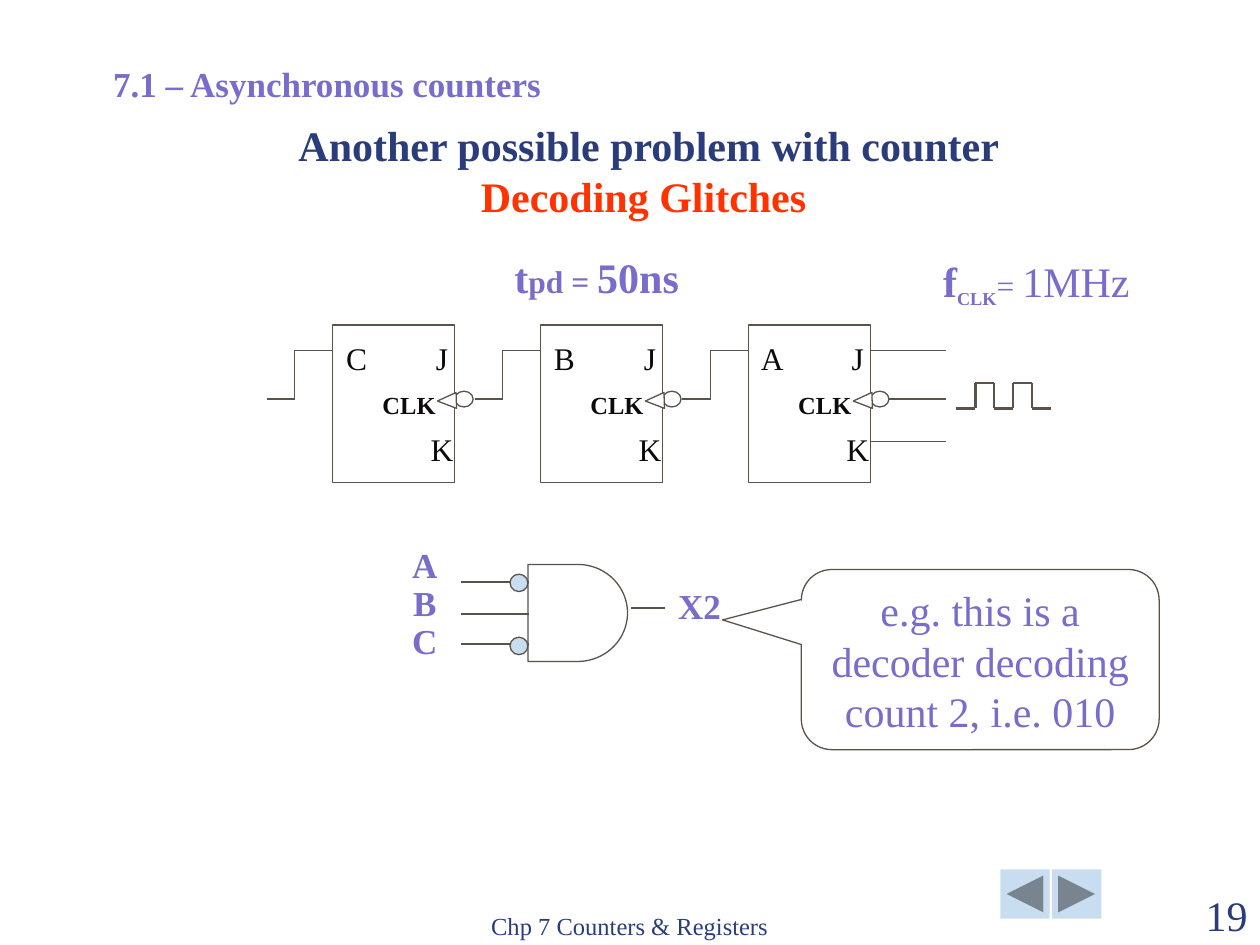
from dataclasses import dataclass
from itertools import pairwise

from lxml.etree import SubElement
from pptx import Presentation
from pptx.dml.color import RGBColor
from pptx.enum.shapes import MSO_CONNECTOR, MSO_SHAPE
from pptx.enum.text import MSO_ANCHOR, PP_ALIGN
from pptx.oxml.ns import qn
from pptx.util import Inches, Pt

FONT = "Times New Roman"
NAVY = RGBColor(0x2A, 0x3D, 0x7A)
RED = RGBColor(0xFF, 0x33, 0x00)
PURPLE = RGBColor(0x78, 0x6D, 0xCB)
BLACK = RGBColor(0x0C, 0x0B, 0x0A)
BROWN = RGBColor(0x5B, 0x52, 0x49)
PALE_BLUE = RGBColor(0xC9, 0xDD, 0xF1)
WHITE = RGBColor(0xFF, 0xFF, 0xFF)


@dataclass
class Box:
    """A rectangle in inches."""
    left: float
    top: float
    width: float
    height: float

    def point(self, x, y):
        return self.left + x * self.width, self.top + y * self.height

    def inner(self, x, y, width, height):
        """Return the inner box given as shares of this one."""
        return Box(*self.point(x, y), width * self.width, height * self.height)

    def emu(self):
        return [Inches(v) for v in (self.left, self.top, self.width, self.height)]


def style_run(run, size, color, bold=False):
    run.font.name = FONT
    run.font.size = Pt(size)
    run.font.bold = bold
    run.font.color.rgb = color


def add_text(slide, box, text, size, color, bold=False,
             align=PP_ALIGN.CENTER, anchor=MSO_ANCHOR.TOP):
    text_frame = slide.shapes.add_textbox(*box.emu()).text_frame
    text_frame.word_wrap = True
    text_frame.vertical_anchor = anchor
    text_frame.text = text
    for paragraph in text_frame.paragraphs:
        paragraph.alignment = align
        for run in paragraph.runs:
            style_run(run, size, color, bold)
    return text_frame


def add_formula(slide, box, terms):
    """Add one centred line of (text, size, bold, baseline) terms."""
    paragraph = add_text(slide, box, "", 24, PURPLE).paragraphs[0]
    for text, size, bold, baseline in terms:
        run = paragraph.add_run()
        run.text = text
        style_run(run, size, PURPLE, bold)
        if baseline:
            run._r.get_or_add_rPr().set("baseline", str(baseline * 1000))


def add_shape(slide, kind, box, fill=None, line=BROWN):
    shape = slide.shapes.add_shape(kind, *box.emu())
    shape.shadow.inherit = False
    if fill is None:
        shape.fill.background()
    else:
        shape.fill.solid()
        shape.fill.fore_color.rgb = fill
    if line is None:
        shape.line.fill.background()
    else:
        shape.line.color.rgb = line
        shape.line.width = Pt(0.75)
    return shape


def add_wire(slide, box, points, width=0.75):
    """Join points, given as shares of the box, with straight lines."""
    for start, end in pairwise(points):
        ends = [Inches(v) for v in box.point(*start) + box.point(*end)]
        connector = slide.shapes.add_connector(MSO_CONNECTOR.STRAIGHT, *ends)
        connector.line.color.rgb = BROWN
        connector.line.width = Pt(width)
        SubElement(connector._element.spPr, qn("a:effectLst"))


def draw_headings(slide, box):
    add_text(slide, box.inner(0.08, 0.06, 0.4, 0.06), "7.1 – Asynchronous counters",
             20, PURPLE, True, PP_ALIGN.LEFT)
    title = add_text(slide, box.inner(0.2, 0.11, 0.63, 0.13),
                     "Another possible problem with counter\vDecoding Glitches ",
                     24, NAVY, True, anchor=MSO_ANCHOR.BOTTOM)
    title.paragraphs[0].runs[1].font.color.rgb = RED


def draw_footer(slide, box):
    buttons = (MSO_SHAPE.ACTION_BUTTON_BACK_OR_PREVIOUS,
               MSO_SHAPE.ACTION_BUTTON_FORWARD_OR_NEXT)
    for column, kind in enumerate(buttons):
        button = Box(box.left + 7.94 + 0.41 * column, box.top, 0.39, 0.39)
        add_shape(slide, kind, button, PALE_BLUE, None)
    add_text(slide, box.inner(0.38, 0.18, 0.32, 0.82), "Chp 7 Counters & Registers",
             14, NAVY, align=PP_ALIGN.LEFT, anchor=MSO_ANCHOR.BOTTOM)
    add_text(slide, box.inner(0.9, 0.18, 0.1, 0.82), "19",
             24, NAVY, align=PP_ALIGN.RIGHT, anchor=MSO_ANCHOR.BOTTOM)


def draw_flip_flop(slide, box, name):
    add_shape(slide, MSO_SHAPE.RECTANGLE, box, WHITE)
    add_shape(slide, MSO_SHAPE.OVAL, box.inner(1, 0.42, 0.15, 0.1), WHITE)
    clock_mark = add_shape(slide, MSO_SHAPE.ISOSCELES_TRIANGLE,
                           box.inner(0.87, 0.42, 0.13, 0.12), WHITE)
    clock_mark.rotation = 268.1
    for label, x, y in ((name, 0, 0.05), ("J", 0.7, 0.05), ("K", 0.7, 0.63)):
        add_text(slide, box.inner(x, y, 0.39, 0.32), label, 18, BLACK)
    add_text(slide, box.inner(0.24, 0.37, 0.77, 0.26), "CLK", 14, BLACK, True)
    add_wire(slide, box, [(0, 0.16), (-0.31, 0.16), (-0.31, 0.47), (-0.54, 0.47)])


def draw_counter(slide, box):
    pitch = 1.65
    for column, name in enumerate("CBA"):
        stage = Box(box.left + pitch * column, box.top, 0.97, box.height)
        draw_flip_flop(slide, stage, name)
    for x, y in ((1, 0.16), (1.15, 0.47), (1, 0.74)):
        add_wire(slide, stage, [(x, y), (1.62, y)])


def draw_clock(slide, box):
    levels = [1, 1, 0, 0, 1, 1, 0, 0, 1, 1]
    points = [((i + 1) // 2 / 5, level) for i, level in enumerate(levels)]
    add_wire(slide, box, points, 1.5)


def draw_gate(slide, box):
    add_shape(slide, MSO_SHAPE.FLOWCHART_DELAY, box)
    for y in (0.18, 0.51, 0.82):
        add_wire(slide, box, [(0.01, y), (-0.67, y)])
    add_wire(slide, box, [(1.04, 0.45), (1.38, 0.45)])
    for y in (0.1, 0.75):
        add_shape(slide, MSO_SHAPE.OVAL, box.inner(-0.18, y, 0.18, 0.18), PALE_BLUE)
    inputs = add_text(slide, box.inner(-1.48, -0.23, 0.89, 1.3), "A\nB\nC",
                      20, PURPLE, True)
    for paragraph in inputs.paragraphs:
        paragraph.line_spacing = 0.9
    add_text(slide, box.inner(1.3, 0.14, 0.85, 0.56), "X2", 20, PURPLE, True)


def draw_callout(slide, box):
    callout = add_shape(slide, MSO_SHAPE.ROUNDED_RECTANGULAR_CALLOUT, box)
    for index, value in enumerate((-0.72, -0.22, 0.17)):
        callout.adjustments[index] = value
    text_frame = callout.text_frame
    text_frame.word_wrap = True
    text_frame.vertical_anchor = MSO_ANCHOR.TOP
    text_frame.text = "e.g. this is a decoder decoding count 2, i.e. 010"
    paragraph = text_frame.paragraphs[0]
    paragraph.alignment = PP_ALIGN.CENTER
    style_run(paragraph.runs[0], 24, PURPLE)


def main():
    presentation = Presentation()
    presentation.slide_width = Inches(10)
    presentation.slide_height = Inches(7.5)
    slide = presentation.slides.add_slide(presentation.slide_layouts[6])
    draw_footer(slide, Box(0, 6.9, 10, 0.61))
    draw_headings(slide, Box(0, 0, 10, 7.5))
    draw_clock(slide, Box(7.59, 3.04, 0.75, 0.2))
    draw_counter(slide, Box(2.64, 2.58, 4.27, 1.25))
    add_formula(slide, Box(7.14, 1.98, 2.17, 0.5),
                [("f", 24, True, 0), ("CLK", 18, True, -25),
                 ("= ", 18, False, 0), ("1MHz", 24, False, 0)])
    add_formula(slide, Box(3.79, 1.95, 1.89, 0.5),
                [("t", 24, True, 0), ("pd = ", 18, True, 0), ("50ns", 24, True, 0)])
    draw_gate(slide, Box(4.19, 4.48, 0.79, 0.77))
    draw_callout(slide, Box(6.36, 4.52, 2.84, 1.43))
    presentation.save("out.pptx")


if __name__ == "__main__":
    main()
